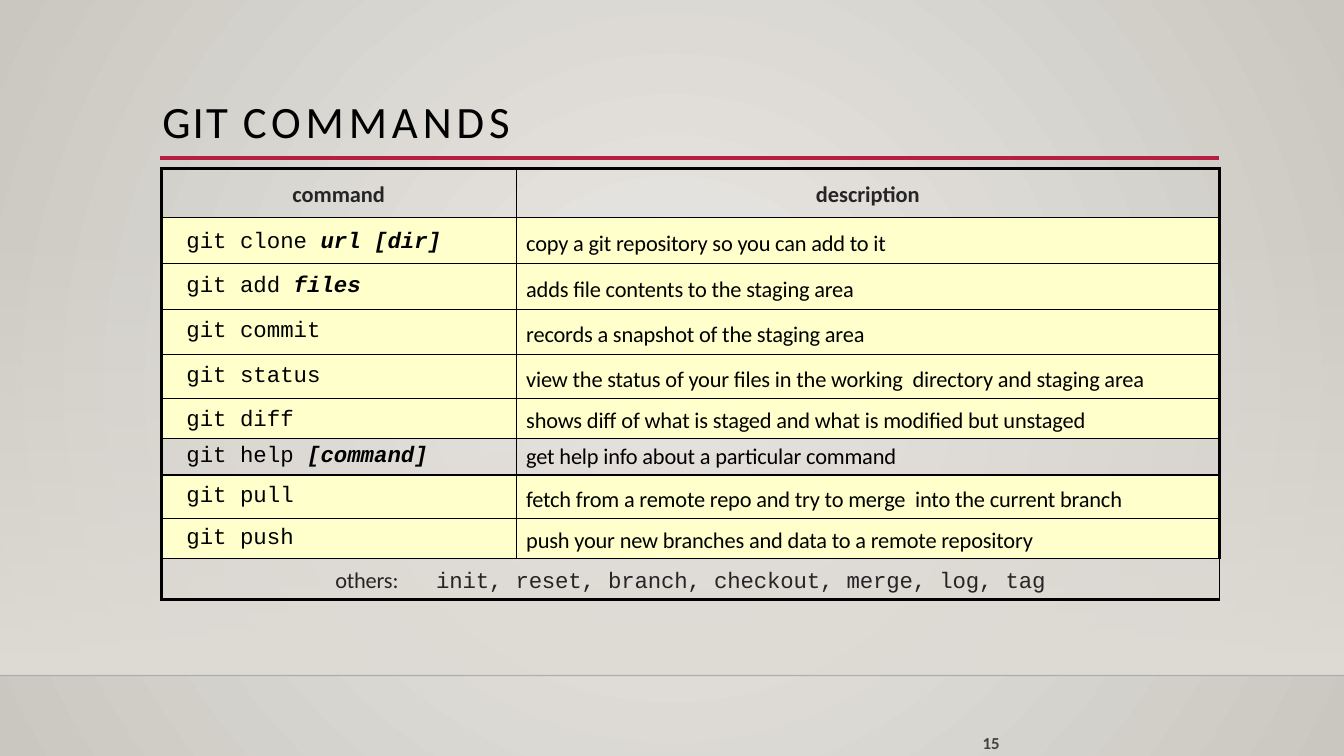
from lxml import etree
from pptx import Presentation
from pptx.dml.color import RGBColor
from pptx.enum.shapes import MSO_CONNECTOR, MSO_SHAPE
from pptx.enum.text import MSO_ANCHOR, MSO_AUTO_SIZE, PP_ALIGN
from pptx.oxml.ns import qn
from pptx.util import Pt

LEFT, CENTER = PP_ALIGN.LEFT, PP_ALIGN.CENTER
TOP, MIDDLE = MSO_ANCHOR.TOP, MSO_ANCHOR.MIDDLE
GROW = MSO_AUTO_SIZE.SHAPE_TO_FIT_TEXT
RECT, STRAIGHT = MSO_SHAPE.RECTANGLE, MSO_CONNECTOR.STRAIGHT
SANS, MONO = "Calibri", "Courier New"
BLACK, GREY, CREAM = "000000", "252525", "FFFFCC"

# command, argument, description, row height, line spacing, gaps above
ROWS = [
    ("git clone ", "url [dir]", "copy a git repository so you can add to it",
     32.9, 23.9, 2, 0),
    ("git add ", "files", "adds file contents to the staging area",
     32.5, 24, 0, 0),
    ("git commit", "", "records a snapshot of the staging area",
     32.5, 24, 0, 0),
    ("git status", "",
     "view the status of your files in the working  directory and staging area",
     31.4, 21.6, 0, 2.7),
    ("git diff", "", "shows diff of what is staged and what is modified but unstaged",
     28.6, 22.8, 2.1, 0),
    ("git help ", "[command]", "get help info about a particular command",
     26, None, 0, 0),
    ("git pull", "",
     "fetch from a remote repo and try to merge  into the current branch",
     31, 21.6, 0, 2.7),
    ("git push", "", "push your new branches and data to a remote repository",
     28.6, 22.8, 0, 0),
]
PLAIN = "git help "
OTHERS = "init, reset, branch, checkout, merge, log, tag"


def color(code):
    return RGBColor.from_string(code)


def sub(node, tag, **attrs):
    """Append a DrawingML child with the given attributes."""
    return etree.SubElement(node, qn(tag), {k: str(v) for k, v in attrs.items()})


def fade(node, share):
    """Set the opacity of the first colour below node, in percent."""
    sub(next(node.iter(qn("a:srgbClr"))), "a:alpha", val=share * 1000)


def blend(fill, first, last):
    fill.gradient()
    for stop, code in zip(fill.gradient_stops, (first, last)):
        stop.color.rgb = color(code)
    fill.gradient_stops[0].position = 0
    fill.gradient_stops[1].position = 1


def write(para, text, font=SANS, size=16, code=BLACK, bold=False,
          italic=False, space=0):
    """Add one run; space is the letter spacing in points."""
    run = para.add_run()
    run.text = text
    face = run.font
    face.name, face.size = font, Pt(size)
    face.bold, face.italic = bold, italic
    face.color.rgb = color(code)
    run._r.get_or_add_rPr().set("spc", str(round(space * 100)))


def layout(para, align=LEFT, indent=0, above=0, line=None):
    para.alignment = align
    para.space_before = Pt(above)
    if line:
        para.line_spacing = Pt(line)
    props = para._p.get_or_add_pPr()
    props.set("marL", str(Pt(indent)))
    props.set("indent", "0")
    return para


class Deck:
    def __init__(self):
        self.show = Presentation()
        self.show.slide_width, self.show.slide_height = Pt(960), Pt(540)
        self.slide = self.show.slides.add_slide(self.show.slide_layouts[5])
        self.shapes = self.slide.shapes

    def ground(self, first, last):
        """Fill the background with a round gradient."""
        blend(self.slide.background.fill, first, last)
        grad = next(self.slide._element.iter(qn("a:gradFill")))
        grad.remove(grad.find(qn("a:lin")))
        rays = sub(grad, "a:path", path="circle")
        sub(rays, "a:fillToRect", l=50000, t=50000, r=50000, b=50000)

    def wall(self, left, top, width, height, code):
        """Add a panel that fades in from top to bottom."""
        box = self.shapes.add_shape(RECT, Pt(left), Pt(top), Pt(width), Pt(height))
        box.shadow.inherit = False
        box.line.fill.background()
        blend(box.fill, code, code)
        box.fill.gradient_angle = 270
        fade(box._element.spPr.find(qn("a:gradFill")), 0)

    def rule(self, left, right, y, code, width, share=100):
        line = self.shapes.add_connector(STRAIGHT, Pt(left), Pt(y), Pt(right), Pt(y))
        line.line.color.rgb = color(code)
        line.line.width = Pt(width)
        props = line._element.spPr
        sub(props, "a:effectLst")
        if share < 100:
            fade(props, share)

    def frame(self, shape, left, top, width, height):
        """Place a text shape without margins and return its paragraph."""
        shape.left, shape.top = Pt(left), Pt(top)
        shape.width, shape.height = Pt(width), Pt(height)
        text = shape.text_frame
        text.margin_left = text.margin_right = 0
        text.margin_top = text.margin_bottom = 0
        text.word_wrap, text.auto_size = True, GROW
        text.vertical_anchor = TOP
        return text.paragraphs[0]

    def title(self, *place):
        return self.frame(self.shapes.title, *place)

    def text(self, *place):
        return self.frame(self.shapes.add_textbox(0, 0, 0, 0), *place)

    def table(self, left, top, widths, heights):
        grid = self.shapes.add_table(
            len(heights), len(widths), Pt(left), Pt(top),
            Pt(sum(widths)), Pt(sum(heights))).table
        grid.first_row = grid.horz_banding = False
        for col, width in zip(grid.columns, widths):
            col.width = Pt(width)
        for row, height in zip(grid.rows, heights):
            row.height = Pt(height)
        ends = len(heights) - 1, len(widths) - 1
        for y in range(len(heights)):
            for x in range(len(widths)):
                cell = grid.cell(y, x)
                cell.margin_left = cell.margin_right = 0
                cell.margin_top = cell.margin_bottom = 0
                cell.vertical_anchor = MIDDLE
                outer = {"L": x == 0, "R": x == ends[1],
                         "T": y == 0, "B": y == ends[0]}
                self.edge(cell, outer)
                cell.fill.background()
        return grid

    def edge(self, cell, outer):
        """Draw the four cell borders, thick on the outer sides."""
        props = cell._tc.get_or_add_tcPr()
        for side, thick in outer.items():
            line = sub(props, "a:ln" + side, w=Pt(2.25 if thick else 1))
            sub(sub(line, "a:solidFill"), "a:srgbClr", val=BLACK)

    def cell(self, grid, row, col, pad=0, fill=None, **form):
        """Format a cell and return its paragraph."""
        cell = grid.cell(row, col)
        cell.margin_top = Pt(pad)
        if fill:
            cell.fill.solid()
            cell.fill.fore_color.rgb = color(fill)
        return layout(cell.text_frame.paragraphs[0], **form)


def main():
    deck = Deck()
    deck.ground("ECEAE7", "CAC7C1")
    deck.wall(0, 159, 960, 323.5, "DFDBD5")
    deck.rule(0, 960, 482.5, "000001", 1, 20)
    deck.rule(114.5, 871, 112.8, "B71E42", 2.5)

    head = layout(deck.title(115.2, 67, 327, 39.6), indent=0.7, above=1.1)
    write(head, "GIT ", size=32, space=1.6)
    write(head, "COMMANDS", size=32, space=3.5)
    page = layout(deck.text(699, 525.6, 18, 13.7), indent=2.9, line=12.4)
    write(page, "15", size=12, code="424242", bold=True)

    heights = [35.3, *(row[3] for row in ROWS), 29.4]
    grid = deck.table(115.2, 120.2, [253.5, 502.5], heights)
    for col, name in enumerate(("command", "description")):
        para = deck.cell(grid, 0, col, pad=2.2, align=CENTER, above=2.4)
        write(para, name, code=GREY, bold=True)
    for y, (name, arg, about, _, line, gap, drop) in enumerate(ROWS, 1):
        fill = None if name == PLAIN else CREAM
        para = deck.cell(grid, y, 0, pad=gap, fill=fill, indent=18, above=gap)
        write(para, name, MONO)
        if arg:
            write(para, arg, MONO, bold=True, italic=True)
        para = deck.cell(grid, y, 1, pad=drop, fill=fill, indent=7.2,
                         above=drop, line=line)
        write(para, about, space=-0.1)

    last = len(ROWS) + 1
    grid.cell(last, 0).merge(grid.cell(last, 1))
    para = deck.cell(grid, last, 0, pad=2.6, align=CENTER, above=2.6)
    tabs = sub(para._p.get_or_add_pPr(), "a:tabLst")
    sub(tabs, "a:tab", pos=Pt(62), algn="l")
    write(para, "others:\t", code=GREY, space=-0.1)
    write(para, OTHERS, MONO, code=GREY, space=-0.1)
    deck.show.save("out.pptx")


if __name__ == "__main__":
    main()
